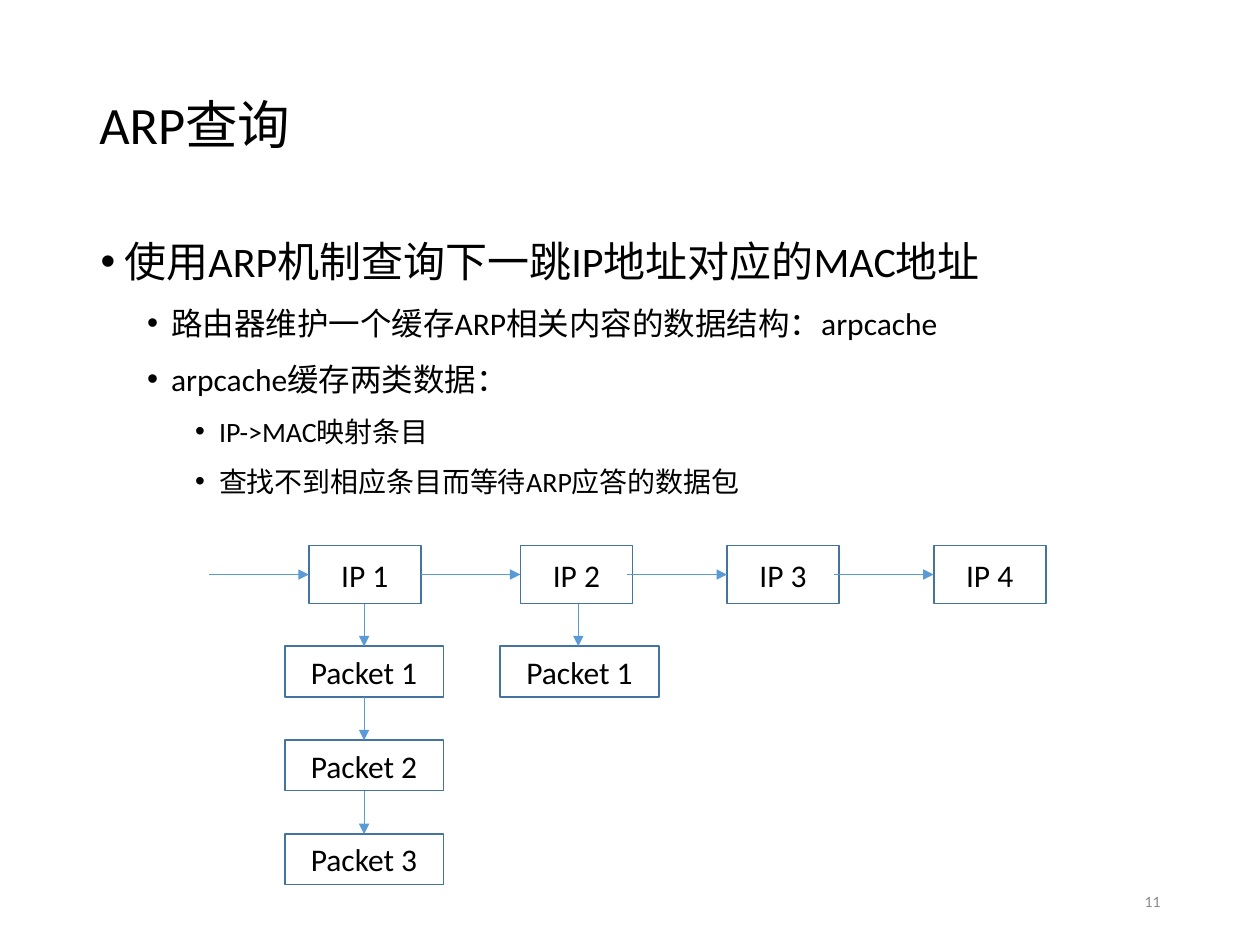
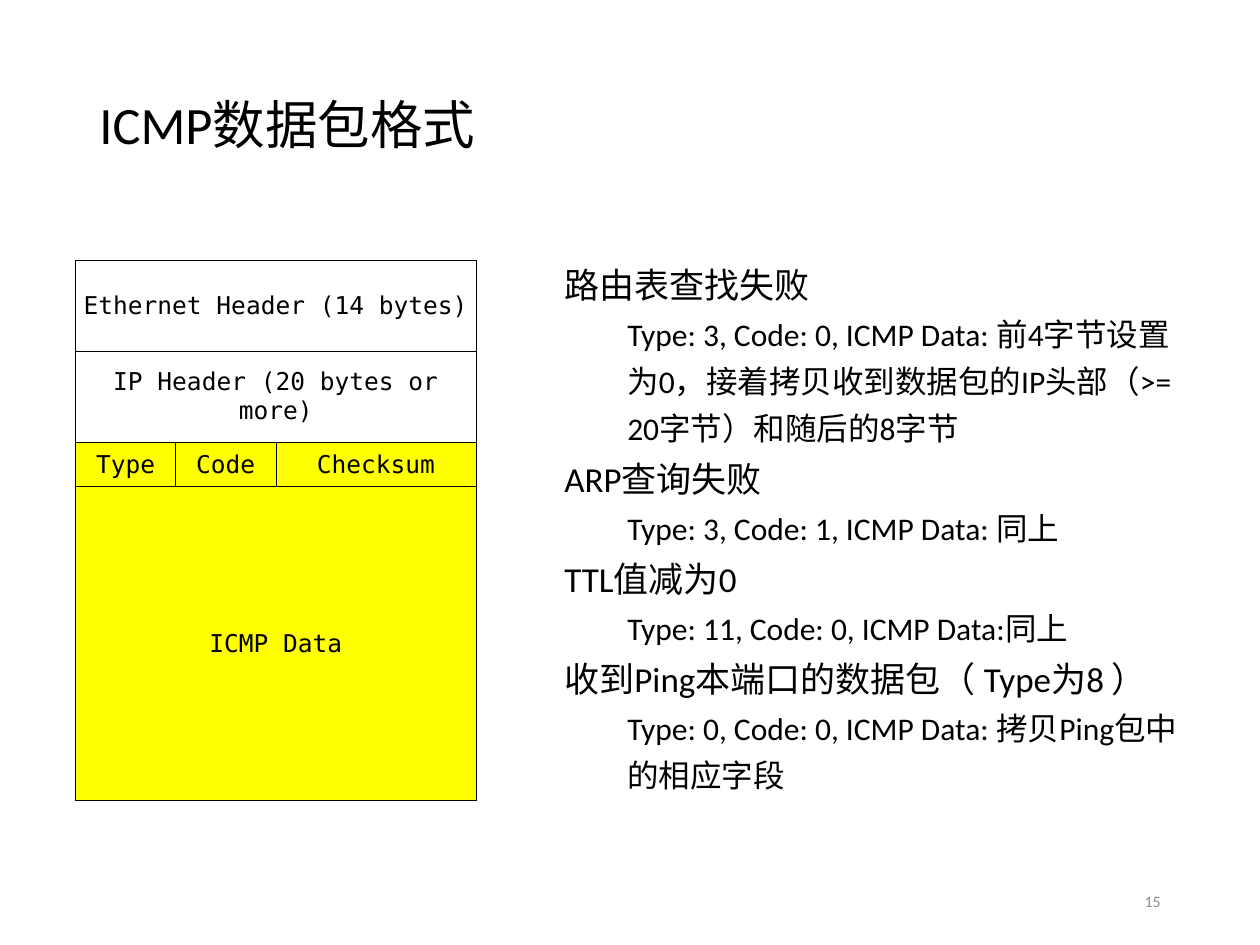
import dataclasses
import typing

import lxml.etree
import pptx
import pptx.dml.color
import pptx.enum.shapes
import pptx.enum.text
import pptx.oxml
import pptx.oxml.ns
import pptx.util

WIDE, HIGH = 10, 7.5
COLS, ROWS = 100, 75
FONT, MONO = "Calibri", "DejaVu Sans Mono"
HUES = {
    "ink": "000000",
    "paper": "FFFFFF",
    "edge": "43739E",
    "arrow": "5B9BD5",
    "mark": "FFFF00",
    "page": "8C8C8C",
}
ALIGN = pptx.enum.text.PP_ALIGN
MID = pptx.enum.text.MSO_ANCHOR.MIDDLE


@dataclasses.dataclass
class Area:
    col: float
    row: float
    wide: float
    high: float

    def place(self) -> list[int]:
        return [across(self.col), down(self.row), across(self.wide), down(self.high)]


@dataclasses.dataclass
class Style:
    size: float
    font: str = FONT
    hue: str = "ink"
    lines: float = 1.0
    before: float = 0
    left: float = 0
    hang: float = 0
    dot: bool = False
    align: typing.Any = ALIGN.LEFT


@dataclasses.dataclass
class Line:
    text: str
    style: Style


@dataclasses.dataclass
class Stack:
    col: float
    stem: float
    count: int


@dataclasses.dataclass
class Field:
    text: str
    row: int
    first: int
    last: int
    hue: str


TITLE = Style(30, lines=0.9)
PAGE = Style(9, hue="page", align=ALIGN.RIGHT)
LABEL = Style(18, align=ALIGN.CENTER)
CELL = Style(14, font=MONO, align=ALIGN.CENTER)
TOP = Style(24, lines=1.3, before=7.5, left=1.9, hang=-1.9, dot=True)
SUB = dataclasses.replace(TOP, size=18, before=3.8, left=5.6)
LEAF = dataclasses.replace(SUB, size=16, left=9.4)
CASE = Style(20, lines=1.25)
REPLY = Style(18, lines=1.25, left=5)

TITLE_AREA = Area(6.9, 4, 86.2, 12.3)
PAGE_AREA = Area(70.6, 69.5, 22.5, 4)

CHAIN = [24.5, 41.3, 57.7, 74.1]
CHAIN_ROW, LINK = 43.3, 7.9
NODE_WIDE, NODE_HIGH = 8.9, 4.6
STACKS = [Stack(22.6, 28.9, 3), Stack(39.7, 45.9, 1)]
PACK_ROW, PACK_STEP, STEM = 51.3, 7.45, 3.4
PACK_WIDE, PACK_HIGH = 12.6, 4

QUERY = [
    Line("使用ARP机制查询下一跳IP地址对应的MAC地址", TOP),
    Line("路由器维护一个缓存ARP相关内容的数据结构：arpcache", SUB),
    Line("arpcache缓存两类数据：", SUB),
    Line("IP->MAC映射条目", LEAF),
    Line("查找不到相应条目而等待ARP应答的数据包", LEAF),
]
CASES = [
    Line("路由表查找失败", CASE),
    Line("Type: 3, Code: 0, ICMP Data: 前4字节设置为0，接着拷贝收到数据包的IP头部（>= 20字节）和随后的8字节", REPLY),
    Line("ARP查询失败", CASE),
    Line("Type: 3, Code: 1, ICMP Data: 同上", REPLY),
    Line("TTL值减为0", CASE),
    Line("Type: 11, Code: 0, ICMP Data:同上", REPLY),
    Line("收到Ping本端口的数据包（ Type为8 ）", CASE),
    Line("Type: 0, Code: 0, ICMP Data: 拷贝Ping包中的相应字段", REPLY),
]
FIELDS = [
    Field("Ethernet Header (14 bytes)", 0, 0, 2, "paper"),
    Field("IP Header (20 bytes or more)", 1, 0, 2, "paper"),
    Field("Type", 2, 0, 0, "mark"),
    Field("Code", 2, 1, 1, "mark"),
    Field("Checksum", 2, 2, 2, "mark"),
    Field("ICMP Data", 3, 0, 2, "mark"),
]
FIELD_COLS = [7.95, 7.95, 15.9]
FIELD_ROWS = [7.2, 7.2, 3.55, 24.9]


def across(cols: float) -> int:
    return pptx.util.Inches(WIDE * cols / COLS)


def down(rows: float) -> int:
    return pptx.util.Inches(HIGH * rows / ROWS)


def tint(name: str) -> pptx.dml.color.RGBColor:
    return pptx.dml.color.RGBColor.from_string(HUES[name])


def apply(thing: typing.Any, values: dict[str, typing.Any]) -> None:
    for name, value in values.items():
        setattr(thing, name, value)


def node(tag: str, parent: typing.Any, **attrs: str) -> typing.Any:
    return lxml.etree.SubElement(parent, pptx.oxml.ns.qn(tag), **attrs)


def paint(thing: typing.Any, hue: str) -> None:
    thing.fill.solid()
    thing.fill.fore_color.rgb = tint(hue)


def write(frame: typing.Any, lines: list[Line]) -> None:
    for spot, line in enumerate(lines):
        para = frame.add_paragraph() if spot else frame.paragraphs[0]
        style = line.style
        apply(para, {
            "alignment": style.align,
            "line_spacing": style.lines,
            "space_before": pptx.util.Pt(style.before),
        })
        props = para._p.get_or_add_pPr()
        props.set("marL", str(across(style.left)))
        props.set("indent", str(across(style.hang)))
        if style.dot:
            node("a:buFont", props, typeface="Arial")
            node("a:buChar", props, char="•")
        run = para.add_run()
        run.text = line.text
        apply(run.font, {"size": pptx.util.Pt(style.size), "name": style.font})
        run.font.color.rgb = tint(style.hue)


def add_text(slide: typing.Any, area: Area, lines: list[Line], **values: typing.Any) -> None:
    frame = slide.shapes.add_textbox(*area.place()).text_frame
    apply(frame, {"word_wrap": True, **values})
    write(frame, lines)


def add_box(slide: typing.Any, area: Area, text: str) -> None:
    kind = pptx.enum.shapes.MSO_SHAPE.RECTANGLE
    box = slide.shapes.add_shape(kind, *area.place())
    box.shadow.inherit = False
    paint(box, "paper")
    box.line.color.rgb = tint("edge")
    box.line.width = pptx.util.Pt(1)
    box.text_frame.vertical_anchor = MID
    write(box.text_frame, [Line(text, LABEL)])


def add_arrow(slide: typing.Any, col: float, row: float, run: float = 0, drop: float = 0) -> None:
    kind = pptx.enum.shapes.MSO_CONNECTOR.STRAIGHT
    ends = across(col), down(row), across(col + run), down(row + drop)
    arrow = slide.shapes.add_connector(kind, *ends)
    arrow.line.color.rgb = tint("arrow")
    arrow.line.width = pptx.util.Pt(0.5)
    node("a:tailEnd", arrow.line._get_or_add_ln(), type="triangle")
    node("a:effectLst", arrow._element.spPr)


def add_edges(cell: typing.Any) -> None:
    props = cell._tc.get_or_add_tcPr()
    for spot, side in enumerate("LRTB"):
        edge = node(f"a:ln{side}", props, w=str(pptx.util.Pt(0.5)))
        node("a:srgbClr", node("a:solidFill", edge), val=HUES["ink"])
        props.insert(spot, edge)


def add_fields(slide: typing.Any) -> None:
    area = Area(6, 20.7, sum(FIELD_COLS), sum(FIELD_ROWS))
    table = slide.shapes.add_table(len(FIELD_ROWS), len(FIELD_COLS), *area.place()).table
    apply(table, {"first_row": False, "horz_banding": False})
    for col, wide in zip(table.columns, FIELD_COLS):
        col.width = across(wide)
    for row, high in zip(table.rows, FIELD_ROWS):
        row.height = down(high)
    sides = ("left", "right", "top", "bottom")
    for field in FIELDS:
        for col in range(field.first, field.last + 1):
            cell = table.cell(field.row, col)
            paint(cell, field.hue)
            add_edges(cell)
        cell = table.cell(field.row, field.first)
        if field.last > field.first:
            cell.merge(table.cell(field.row, field.last))
        apply(cell, {"vertical_anchor": MID, **{f"margin_{side}": 0 for side in sides}})
        write(cell.text_frame, [Line(field.text, CELL)])


def add_slide(deck: typing.Any, title: str, page: int) -> typing.Any:
    slide = deck.slides.add_slide(deck.slide_layouts[6])
    add_text(slide, TITLE_AREA, [Line(title, TITLE)], vertical_anchor=MID)
    add_text(slide, PAGE_AREA, [Line(str(page), PAGE)], vertical_anchor=MID)
    return slide


def draw_query(deck: typing.Any) -> None:
    slide = add_slide(deck, "ARP查询", 11)
    add_text(slide, Area(7, 17, 84.6, 23.4), QUERY)
    for spot, col in enumerate(CHAIN, 1):
        add_box(slide, Area(col, CHAIN_ROW, NODE_WIDE, NODE_HIGH), f"IP {spot}")
        add_arrow(slide, col - LINK, CHAIN_ROW + NODE_HIGH / 2, run=LINK)
    for stack in STACKS:
        for spot in range(stack.count):
            row = PACK_ROW + spot * PACK_STEP
            add_box(slide, Area(stack.col, row, PACK_WIDE, PACK_HIGH), f"Packet {spot + 1}")
            add_arrow(slide, stack.stem, row - STEM, drop=STEM)


def draw_format(deck: typing.Any) -> None:
    slide = add_slide(deck, "ICMP数据包格式", 15)
    add_fields(slide)
    grow = pptx.enum.text.MSO_AUTO_SIZE.SHAPE_TO_FIT_TEXT
    add_text(slide, Area(43.8, 19.6, 52.2, 44), CASES, auto_size=grow)


def main() -> None:
    deck = pptx.Presentation()
    apply(deck, {"slide_width": across(COLS), "slide_height": down(ROWS)})
    draw_query(deck)
    draw_format(deck)
    deck.save("out.pptx")


if __name__ == "__main__":
    main()
